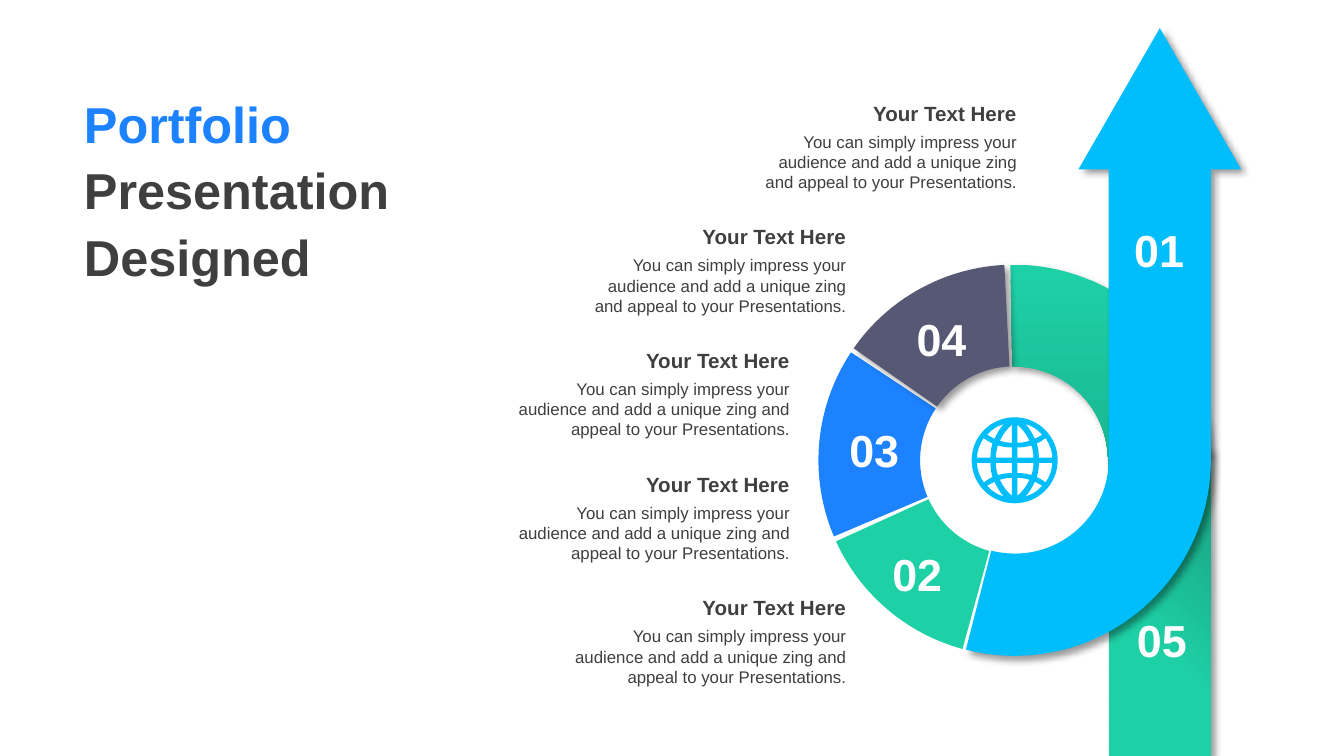
"""Builds a portfolio slide with a ring-shaped arrow of five numbered steps."""
from dataclasses import dataclass
from itertools import product
from math import cos, radians, sin, tan

from lxml import etree
from pptx import Presentation
from pptx.dml.color import RGBColor
from pptx.enum.shapes import MSO_SHAPE
from pptx.enum.text import MSO_ANCHOR, PP_ALIGN
from pptx.oxml.ns import qn
from pptx.util import Inches, Pt

ARC, BAR = MSO_SHAPE.BLOCK_ARC, MSO_SHAPE.RECTANGLE
LEFT, CENTER, RIGHT = PP_ALIGN.LEFT, PP_ALIGN.CENTER, PP_ALIGN.RIGHT
TOP, MIDDLE = MSO_ANCHOR.TOP, MSO_ANCHOR.MIDDLE
COLUMNS, ROWS, CELL = 100, 56.25, Inches(0.1)


@dataclass(frozen=True)
class Theme:
    font: str = "Arial"
    ink: str = "3F3F3F"
    white: str = "FFFFFF"
    sky: str = "00BDFB"
    blue: str = "1C82FF"
    green: str = "1ED0A6"
    pine: str = "169C7C"
    slate: str = "565874"
    title: int = 27
    number: int = 24
    heading: int = 11
    body: int = 9


def cells(*lengths):
    return [round(length * CELL) for length in lengths]


def apply(target, values):
    for name, value in values.items():
        setattr(target, name, value)


def arc(center, radius, *angles):
    """Returns a start point and one curve for each further angle."""
    def at(angle, pull=0):
        a = radians(angle)
        return (center[0] + radius * (cos(a) - pull * sin(a)),
                center[1] + radius * (sin(a) + pull * cos(a)))

    path = [at(angles[0])]
    for start, end in zip(angles, angles[1:]):
        pull = 4 / 3 * tan(radians(end - start) / 4)
        path.append(at(start, pull) + at(end, -pull) + at(end))
    return path


class SlideBuilder:
    """Holds the theme and the current slide and draws each kind of element."""

    def __init__(self, theme, slide):
        self.theme, self.shapes = theme, slide.shapes

    def paint(self, shape, color, shadow):
        shape.fill.solid()
        shape.fill.fore_color.rgb = RGBColor.from_string(color)
        shape.line.fill.background()
        shape.shadow.inherit = False
        if shadow:
            effects = shape._element.spPr.find(qn("a:effectLst"))
            outer = etree.SubElement(effects, qn("a:outerShdw"), blurRad=str(Pt(4)),
                                     dist=str(Pt(3)), dir=str(45 * 60000),
                                     algn="tl", rotWithShape="0")
            tint = etree.SubElement(outer, qn("a:srgbClr"), val="000000")
            etree.SubElement(tint, qn("a:alpha"), val="40000")

    def shade(self, shape, stops, angle):
        shape.fill.gradient()
        shape.fill.gradient_angle = angle
        stop_list = shape._element.spPr.find(qn("a:gradFill")).find(qn("a:gsLst"))
        for stop in list(stop_list):
            stop_list.remove(stop)
        for position, color in stops:
            stop = etree.SubElement(stop_list, qn("a:gs"), pos=str(position * 1000))
            etree.SubElement(stop, qn("a:srgbClr"), val=color)

    def preset(self, kind, box, color, shadow=False):
        shape = self.shapes.add_shape(kind, *cells(*box))
        self.paint(shape, color, shadow)
        return shape

    def ring_part(self, rotation, start, end, thickness, color, shadow=False):
        part = self.preset(ARC, (60.9, 19.7, 29.1, 29.1), color, shadow)
        part.rotation = rotation
        for i, value in enumerate((start * 0.6, end * 0.6, thickness)):
            part.adjustments[i] = value
        return part

    def freeform(self, contours, color, shadow=False):
        builder = self.shapes.build_freeform(*cells(*contours[0][0]))
        for i, (start, *segments) in enumerate(contours):
            if i:
                builder.move_to(*cells(*start))
            points = [cells(*s[j:j + 2]) for s in segments for j in range(0, len(s), 2)]
            builder.add_line_segments(points, close=True)
        shape = builder.convert_to_shape()
        lines = iter(list(shape._element.iter(qn("a:lnTo"))))
        for segment in (s for contour in contours for s in contour[1:]):
            step, *others = [next(lines) for _ in range(len(segment) // 2)]
            if others:
                step.tag = qn("a:cubicBezTo")
            for other in others:
                step.append(other[0])
                other.getparent().remove(other)
        self.paint(shape, color, shadow)

    def text(self, box, runs, size, bold=True, align=LEFT, anchor=TOP, spacing=1.0):
        frame = self.shapes.add_textbox(*cells(*box)).text_frame
        side, edge = cells(0.75, 0.38)
        apply(frame, {"word_wrap": True, "vertical_anchor": anchor,
                      "margin_left": side, "margin_right": side,
                      "margin_top": edge, "margin_bottom": edge})
        paragraph = frame.paragraphs[0]
        apply(paragraph, {"alignment": align, "line_spacing": spacing})
        for words, color in runs:
            run = paragraph.add_run()
            run.text = words
            apply(run.font, {"name": self.theme.font, "size": Pt(size), "bold": bold})
            run.font.color.rgb = RGBColor.from_string(color)

    def caption(self, right, top, width, heading, body):
        theme, left = self.theme, right - width
        self.text((left, top + 2.3, width, 5.3), [(body, theme.ink)], theme.body,
                  bold=False, align=RIGHT)
        self.text((left, top, width, 2.5), [(heading, theme.ink)], theme.heading,
                  align=RIGHT)

    def number(self, left, top, label):
        self.text((left, top, 8.3, 4.8), [(label, self.theme.white)],
                  self.theme.number, align=CENTER)

    def globe(self, center, radius):
        quarter = [
            [(0.2, 1.3), (0.2, 2.65), (0.6, 2.3, 0.9, 1.9, 1.1, 1.45),
             (0.8, 1.35, 0.5, 1.3, 0.2, 1.3)],
            [(1.5, 1.6), (1.3, 2, 1.1, 2.4, 0.8, 2.7),
             (1.3, 2.55, 1.7, 2.3, 2.05, 1.9), (1.9, 1.8, 1.7, 1.7, 1.5, 1.6)],
            [(0.2, 0.2), (0.2, 0.95), (0.55, 0.95, 0.9, 1, 1.25, 1.1),
             (1.35, 0.8, 1.4, 0.5, 1.4, 0.2)],
            [(1.8, 0.2), (1.8, 0.6, 1.75, 0.9, 1.65, 1.25),
             (1.9, 1.35, 2.1, 1.5, 2.3, 1.65), (2.6, 1.2, 2.8, 0.7, 2.8, 0.2)],
        ]
        windows = [[tuple(center[i % 2] + flip[i % 2] * value
                          for i, value in enumerate(segment)) for segment in pane]
                   for flip, pane in product(product((1, -1), repeat=2), quarter)]
        self.freeform([arc(center, radius, 0, 90, 180, 270, 360)] + windows,
                      self.theme.sky)


def main():
    deck = Presentation()
    deck.slide_width, deck.slide_height = cells(COLUMNS, ROWS)
    theme = Theme()
    page = SlideBuilder(theme, deck.slides.add_slide(deck.slide_layouts[6]))

    hidden_turn = page.ring_part(90, 178.92, 267.9, 0.26, theme.green, shadow=True)
    page.shade(hidden_turn, [(0, theme.green), (100, theme.pine)], 0)
    tail = page.preset(BAR, (82.5, 33.5, 7.6, 22.75), theme.green, shadow=True)
    page.shade(tail, [(0, theme.green), (38, theme.green), (100, theme.pine)], 45)

    hub = (75.5, 34.2)
    arrow = (arc(hub, 14.6, 0, 90, 104.4) + arc(hub, 7, 104.4, 90, 0)
             + [(82.5, 12.6), (80.25, 12.6), (86.3, 2.1), (92.35, 12.6), (90.1, 12.6)])
    page.freeform([arrow], theme.sky, shadow=True)
    page.ring_part(285, 180.26, 230.52, 0.26, theme.green)
    page.ring_part(337, 180.07, 236.5, 0.26, theme.blue)
    page.ring_part(36, 178.92, 231.16, 0.26, theme.slate, shadow=True)

    pitch = ("You can simply impress your audience and add a unique zing "
             "and appeal to your Presentations.")
    columns = [(76.4, 21.3), (63.7, 20.4), (59.5, 22.7), (59.5, 22.5), (63.7, 22.7)]
    for row, (right, width) in enumerate(columns):
        page.caption(right, 7.1 + 9.2 * row, width, "Your Text Here", pitch)

    steps = [(82.1, 16.2), (64.1, 40.3), (60.9, 31.1), (65.9, 22.8), (82.3, 45.2)]
    for step, (left, top) in enumerate(steps, start=1):
        page.number(left, top, f"{step:02}")

    page.text((5.5, 6.2, 25.4, 15.4),
              [("Portfolio ", theme.blue), ("Presentation Designed", theme.ink)],
              theme.title, anchor=MIDDLE, spacing=1.1)
    page.globe((75.5, 34.25), 3.2)
    deck.save("out.pptx")


if __name__ == "__main__":
    main()
